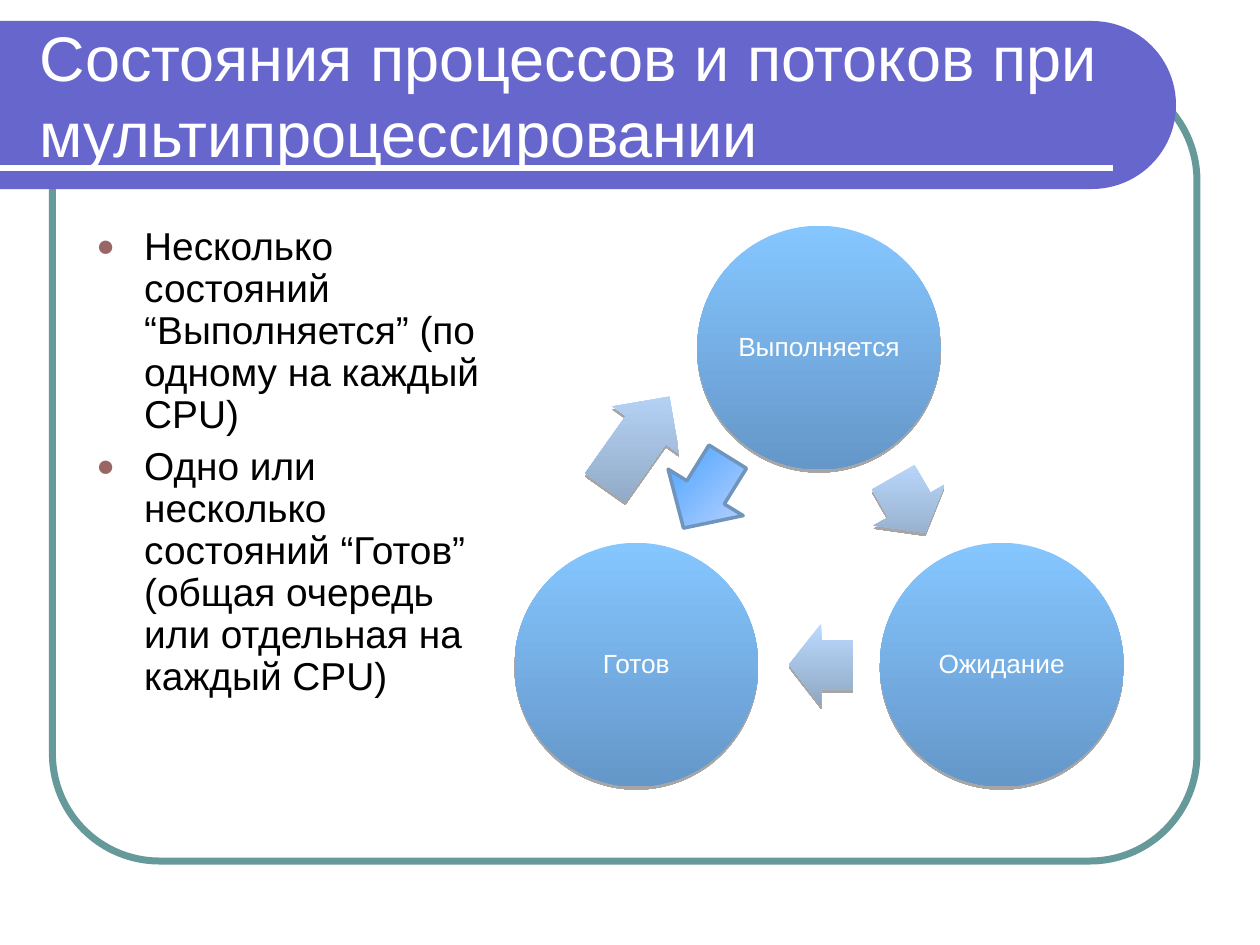
from dataclasses import dataclass
from typing import Optional

from lxml import etree
from pptx import Presentation
from pptx.dml.color import RGBColor
from pptx.enum.shapes import MSO_CONNECTOR, MSO_SHAPE as Shp
from pptx.enum.text import MSO_ANCHOR as Anchor, PP_ALIGN as Align
from pptx.oxml import parse_xml
from pptx.oxml.ns import nsdecls, qn
from pptx.util import Inches, Pt

COLS, ROWS = 120, 90  # grid over the slide
FONT = "Arial"
WHITE, BLACK = "FFFFFF", "000000"
BLUE = ("85C6FF", "6597C9")
PALE = ("BCDAFF", "8FA7C3")
BRIGHT = ("3399FF", "D4DEFF")
DOWN, DIAGONAL = 270, 315  # gradient directions, counter-clockwise degrees

prs = Presentation()
prs.slide_width, prs.slide_height = Inches(10), Inches(7.5)
s = prs.slides.add_slide(prs.slide_layouts[6])


@dataclass
class State:
    label: str
    cx: float
    cy: float
    size: float = 23.2


@dataclass
class Arrow:
    cx: float
    cy: float
    w: float
    h: float
    rotation: float = 0
    kind: Shp = Shp.RIGHT_ARROW
    shaft: float = 0.6
    colors: tuple = PALE
    angle: int = DOWN
    line: Optional[str] = None


def x(cols: float) -> int:
    return int(prs.slide_width * cols / COLS)


def y(rows: float) -> int:
    return int(prs.slide_height * rows / ROWS)


def rgb(value: str) -> RGBColor:
    return RGBColor.from_string(value)


def add_shape(kind: Shp, cx: float, cy: float, w: float, h: float, *, rotation: float = 0,
              adjust: tuple = (), fill: Optional[str] = None,
              line: Optional[str] = None, weight: float = 1):
    """Add a preset shape centred on a grid point."""
    sp = s.shapes.add_shape(kind, x(cx - w / 2), y(cy - h / 2), x(w), y(h))
    sp.shadow.inherit = False
    sp.rotation = rotation
    for i, value in enumerate(adjust):
        sp.adjustments[i] = value
    if fill:
        sp.fill.solid()
        sp.fill.fore_color.rgb = rgb(fill)
    else:
        sp.fill.background()
    if line:
        sp.line.color.rgb = rgb(line)
        sp.line.width = Pt(weight)
    else:
        sp.line.fill.background()
    return sp


def set_gradient(sp, colors: tuple, angle: int) -> None:
    """Fill from the first colour to the second, upright even on a turned shape."""
    sp.fill.gradient()
    sp.fill.gradient_angle = angle
    for stop, color in zip(sp.fill.gradient_stops, colors):
        stop.color.rgb = rgb(color)
    sp._element.spPr.find(qn("a:gradFill")).set("rotWithShape", "0")


def set_shadow(sp) -> None:
    effects = sp._element.spPr.find(qn("a:effectLst"))
    effects.append(parse_xml(
        f'<a:outerShdw {nsdecls("a")} blurRad="0" dist="{Pt(1.8)}" dir="5400000" rotWithShape="0">'
        f'<a:srgbClr val="{BLACK}"><a:alpha val="35000"/></a:srgbClr></a:outerShdw>'))


def set_bullet(p, color: str) -> None:
    pPr = p._p.get_or_add_pPr()
    pPr.set("marL", str(Inches(0.38)))
    pPr.set("indent", str(-Inches(0.38)))
    clr = etree.SubElement(pPr, qn("a:buClr"))
    etree.SubElement(clr, qn("a:srgbClr")).set("val", color)
    etree.SubElement(pPr, qn("a:buSzPct")).set("val", "80000")
    etree.SubElement(pPr, qn("a:buFont")).set("typeface", FONT)
    etree.SubElement(pPr, qn("a:buChar")).set("char", "●")


def write(sp, *texts: str, size: float, color: str, align=Align.LEFT, anchor=Anchor.TOP,
          spacing: float = 1, gap: float = 0, bullet: Optional[str] = None,
          inset: Optional[float] = None) -> None:
    tf = sp.text_frame
    tf.word_wrap = True
    tf.vertical_anchor = anchor
    if inset is not None:
        tf.margin_left = tf.margin_right = tf.margin_top = tf.margin_bottom = Inches(inset)
    for i, text in enumerate(texts):
        p = tf.add_paragraph() if i else tf.paragraphs[0]
        p.alignment = align
        p.line_spacing = spacing
        if i:
            p.space_before = Pt(gap)
        if bullet:
            set_bullet(p, bullet)
        r = p.add_run()
        r.text = text
        r.font.name, r.font.size = FONT, Pt(size)
        r.font.color.rgb = rgb(color)


def draw_state(state: State) -> None:
    sp = add_shape(Shp.OVAL, state.cx, state.cy, state.size, state.size)
    set_gradient(sp, BLUE, DOWN)
    set_shadow(sp)
    write(sp, state.label, size=15, color=WHITE, align=Align.CENTER,
          anchor=Anchor.MIDDLE, spacing=0.9, inset=0)


def draw_arrow(a: Arrow) -> None:
    sp = add_shape(a.kind, a.cx, a.cy, a.w, a.h, rotation=a.rotation,
                   adjust=(a.shaft, 0.5), line=a.line, weight=2)
    set_gradient(sp, a.colors, a.angle)
    if not a.line:
        set_shadow(sp)


# Frame, title banner and rule
add_shape(Shp.ROUNDED_RECTANGLE, 59.5, 44.5, 109, 75, adjust=(0.136,), line="669999", weight=4)
add_shape(Shp.ROUND_2_SAME_RECTANGLE, 56, 10, 16, 112, rotation=90, adjust=(0.5, 0), fill="6666CC")
rule = s.shapes.add_connector(MSO_CONNECTOR.STRAIGHT, 0, y(16), x(106), y(16))
rule.line.color.rgb, rule.line.width = rgb(WHITE), Pt(3)
etree.SubElement(rule._element.spPr, qn("a:effectLst"))

# Title and bullets
title = s.shapes.add_textbox(x(2.6), y(3), x(105.2), y(12))
write(title, "Состояния процессов и потоков при мультипроцессировании",
      size=36, color=WHITE, anchor=Anchor.MIDDLE)
body = s.shapes.add_textbox(x(8), y(21), x(38.9), y(58))
write(body, "Несколько состояний “Выполняется” (по одному на каждый CPU)",
      "Одно или несколько состояний “Готов” (общая очередь или отдельная на каждый CPU)",
      size=22.2, color=BLACK, spacing=0.9, gap=6, bullet="996666")

# Cycle of states
for state in (State("Выполняется", 78, 33.1), State("Ожидание", 95.4, 63.3),
              State("Готов", 60.6, 63.3)):
    draw_state(state)

for arrow in (
    Arrow(86.6, 48.1, 6.1, 7.8, rotation=60),
    Arrow(78.2, 63.3, 6.1, 7.8, kind=Shp.LEFT_ARROW),
    Arrow(60.7, 42.1, 10.6, 7.8, rotation=305.2),
    Arrow(67.2, 46.9, 8.4, 8, rotation=31.8, kind=Shp.DOWN_ARROW, shaft=0.5,
          colors=BRIGHT, angle=DIAGONAL, line="6F95BC"),
):
    draw_arrow(arrow)

prs.save("out.pptx")
